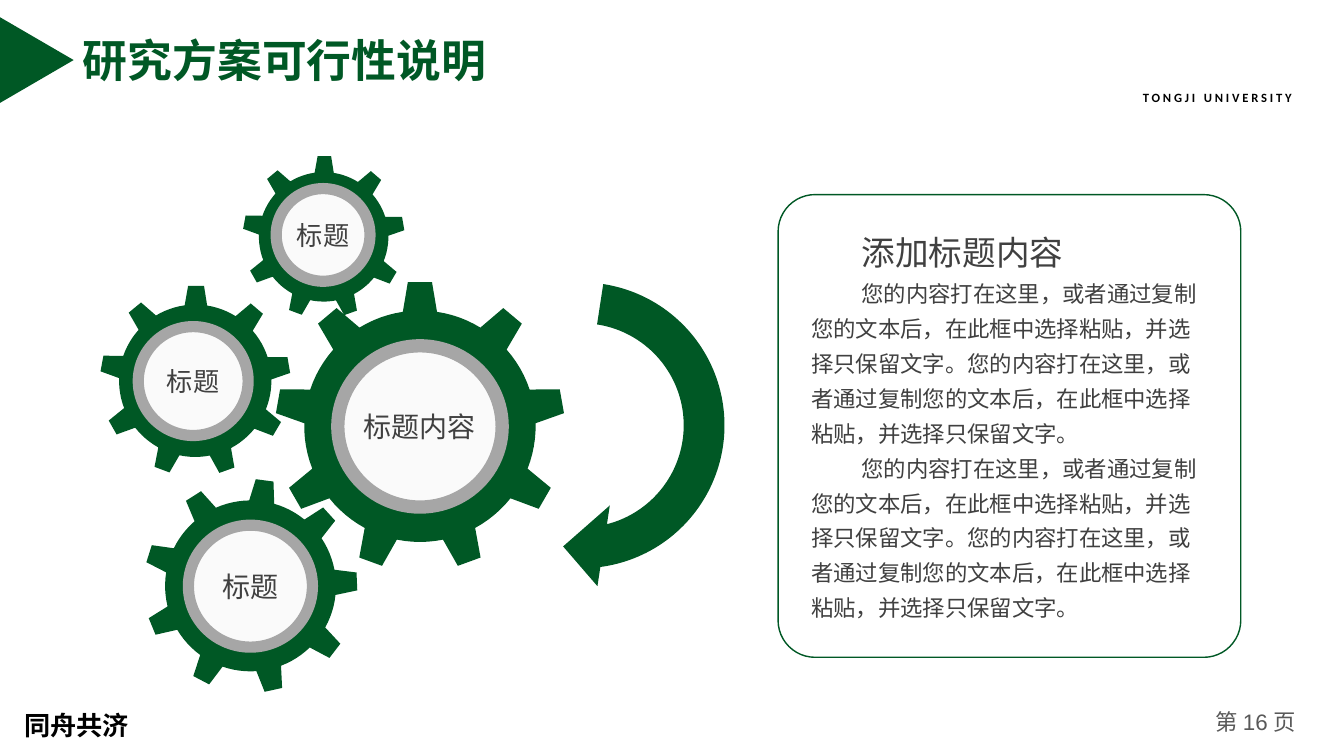
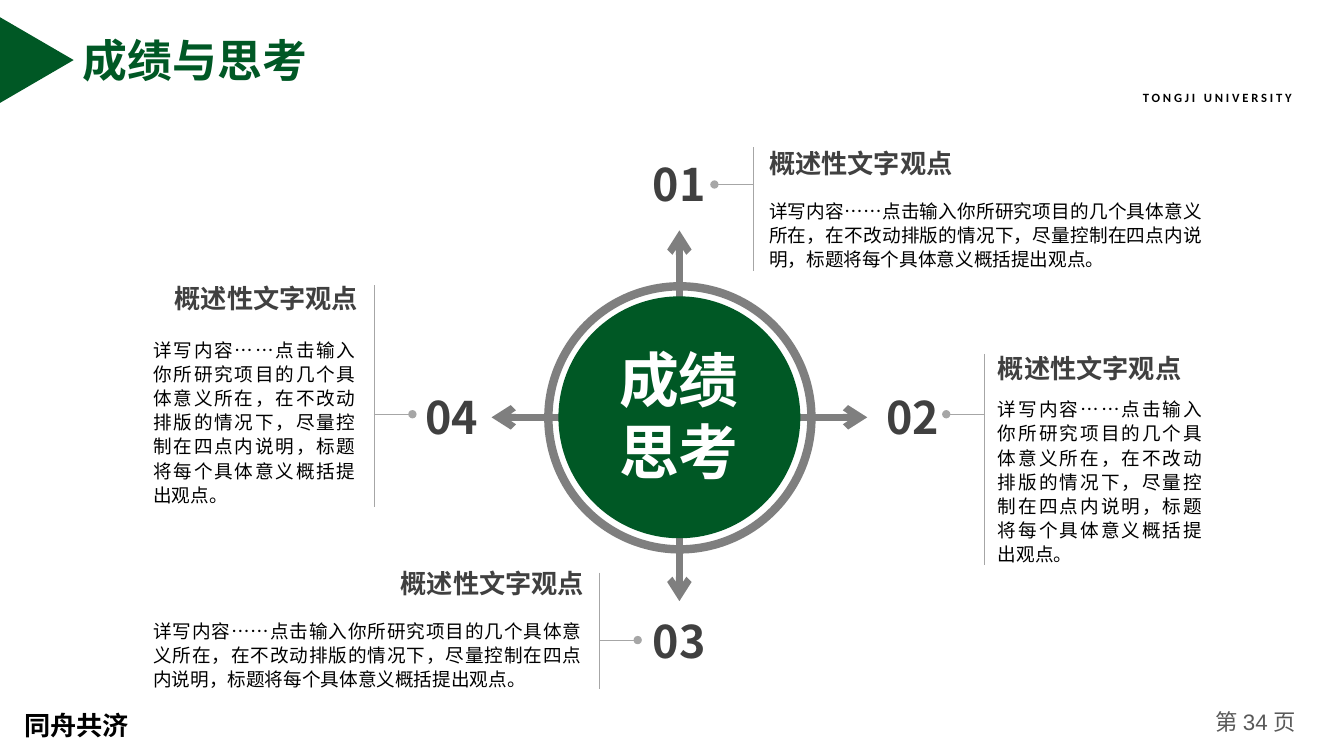
import math

import pptx
import pptx.dml.color
import pptx.enum.shapes
import pptx.enum.text
import pptx.oxml
import pptx.oxml.ns
import pptx.util

Pt = pptx.util.Pt
SHAPE = pptx.enum.shapes.MSO_SHAPE
ALIGN = pptx.enum.text.PP_ALIGN

# Shared style
GREEN, INK, HUB, RIM = "005825", "404040", "FAFAFA", "A6A6A6"
STEEL, PAGE_GREY, BLACK, WHITE = "7F7F7F", "595959", "000000", "FFFFFF"
CJK, LATIN, SMALL_CAPS = "Noto Sans CJK SC", "Arial", "Calibri"
INSETS = (7.2, 3.6)

# Content of the gear slide
BODY = "您的内容打在这里，或者通过复制您的文本后，在此框中选择粘贴，并选择只保留文字。" * 2
PANEL = [("添加标题内容", 24, 2.0), (BODY, 16, 1.3), (BODY, 16, 1.3)]  # text, size, spacing
TEETH, ROOT_RATIO = 9, 0.8
TIP_HALF, ROOT_HALF = 4.8, 8.5  # half a tooth, in degrees
GEARS = [  # gear centre, radius, turn, hub centre, hub size, rim, label, label size
    ((300, 304.5), 103.3, 0, (300, 304.6), (117.4, 115.2), 9.5, "标题内容", 20),
    ((179, 418.5), 76.3, 7.6, (178.9, 418.7), (88.6, 87.1), 8, "标题", 20),
    ((139.5, 272), 68, 0.5, (138, 272.2), (78.5, 77.8), 8, "标题", 18.7),
    ((231.2, 169.2), 57.8, 0.5, (230.8, 167.8), (67, 66.2), 8, "标题", 18.7),
]

# Content of the results slide
HEADING = "概述性文字观点"
DETAIL = ("详写内容……点击输入你所研究项目的几个具体意义所在，在不改动排版的情况下，"
          "尽量控制在四点内说明，标题将每个具体意义概括提出观点。")
LINE_PITCH, STEM = 17.3, 27.5
ARROW_LENGTH = 58.6
ARROWS = [  # start, direction
    ((485.3, 223.2), (0, -1)), ((485.3, 370.8), (0, 1)),
    ((560.9, 298.1), (1, 0)), ((409.7, 298.1), (-1, 0)),
]
POINTS = [  # number, its corner, bracket x / top / bottom, stem y, side of text,
            # text left, width, heading top, detail top, detail lines
    ("01", (460, 112.3), (537.8, 105.1, 193.7), 131.8, 1, 549.4, 309.6, 105.1, 141.1, 3),
    ("02", (627, 278.6), (703.4, 252.7, 403.9), 295.9, 1, 712.8, 146.2, 251.3, 283, 7),
    ("03", (460, 438.5), (428, 409, 492.5), 457.2, -1, 109.4, 306, 405.4, 441.4, 3),
    ("04", (297.4, 278.6), (267.1, 203.8, 362.2), 295.9, -1, 109.4, 144.7, 201.6, 240.5, 7),
]


def color(value):
    return pptx.dml.color.RGBColor.from_string(value)


def style(paragraph, size, ink, bold=False, latin=CJK, align=ALIGN.LEFT, spacing=None):
    paragraph.alignment = align
    if spacing:
        paragraph.line_spacing = spacing
    font = paragraph.font
    font.size, font.bold, font.name = Pt(size), bold, latin
    font.color.rgb = color(ink)
    for run in paragraph.runs:
        set_east_asian(run)


def set_east_asian(run):
    props = run._r.get_or_add_rPr()
    ea = pptx.oxml.parse_xml(
        f'<a:ea {pptx.oxml.ns.nsdecls("a")} typeface="{CJK}"/>')
    props.append(ea)


def add_box(slide, left, top, width, height, insets=(0, 0), wrap=True):
    frame = slide.shapes.add_textbox(Pt(left), Pt(top), Pt(width), Pt(height)).text_frame
    frame.word_wrap = wrap
    frame.margin_left = frame.margin_right = Pt(insets[0])
    frame.margin_top = frame.margin_bottom = Pt(insets[1])
    return frame


def add_label(slide, text, box, size, ink, insets=(0, 0), wrap=True, **looks):
    paragraph = add_box(slide, *box, insets, wrap).paragraphs[0]
    paragraph.add_run().text = text
    style(paragraph, size, ink, **looks)
    return paragraph


def paint(shape, fill=None, line=None, line_width=1):
    shape.shadow.inherit = False
    if fill:
        shape.fill.solid()
        shape.fill.fore_color.rgb = color(fill)
    else:
        shape.fill.background()
    if line:
        shape.line.color.rgb = color(line)
        shape.line.width = Pt(line_width)
    else:
        shape.line.fill.background()
    return shape


def add_figure(slide, kind, left, top, width, height, **looks):
    shape = slide.shapes.add_shape(kind, Pt(left), Pt(top), Pt(width), Pt(height))
    return paint(shape, **looks)


def add_line(slide, start, end, ink, line_width, tail=None):
    line = slide.shapes.add_connector(
        pptx.enum.shapes.MSO_CONNECTOR.STRAIGHT, *(Pt(v) for v in (*start, *end)))
    line.line.color.rgb = color(ink)
    line.line.width = Pt(line_width)
    namespace = pptx.oxml.ns.nsdecls("a")
    props = line._element.spPr
    if tail:
        props.find(pptx.oxml.ns.qn("a:ln")).append(
            pptx.oxml.parse_xml(f'<a:tailEnd {namespace} type="{tail}"/>'))
    props.append(pptx.oxml.parse_xml(f"<a:effectLst {namespace}/>"))


def add_page(deck, title, title_width, number):
    slide = deck.slides.add_slide(deck.slide_layouts[6])
    # Page number, university line and motto
    page = add_box(slide, 853.9, 502.6, 86.4, 28.8, INSETS).paragraphs[0]
    for text in ("第 ", f"{number} ", "页"):
        page.add_run().text = text
    style(page, 16, PAGE_GREY, align=ALIGN.CENTER)
    page.runs[1].font.name = LATIN
    university = add_label(slide, "TONGJI UNIVERSITY", (809.3, 60.5, 138.2, 17.3), 9, BLACK,
                           INSETS, bold=True, latin=SMALL_CAPS, align=ALIGN.JUSTIFY)
    university.runs[0]._r.get_or_add_rPr().set("spc", "200")
    add_label(slide, "同舟共济", (10.1, 491.8, 98.6, 38.2), 18.7, BLACK, INSETS,
              bold=True, spacing=1.5)
    # Title and its marker
    add_label(slide, title, (49.7, 18.7, title_width, 48.2), 32, GREEN, (9.4, 5),
              wrap=False, bold=True, latin=LATIN)
    marker = add_figure(slide, SHAPE.ISOSCELES_TRIANGLE, -4.3, 16.6, 61.2, 52.6, fill=GREEN)
    marker.rotation = 90
    return slide


def gear_outline(center, radius, turn):
    step = 360 / TEETH
    root = radius * ROOT_RATIO
    valley = step - 2 * ROOT_HALF
    corners = [(-ROOT_HALF, root), (-TIP_HALF, radius), (TIP_HALF, radius)]
    corners += [(ROOT_HALF + valley * part / 6, root) for part in range(6)]
    outline = []
    for tooth in range(TEETH):
        for offset, reach in corners:
            angle = math.radians(turn + tooth * step + offset)
            outline.append((Pt(center[0] + reach * math.sin(angle)),
                            Pt(center[1] - reach * math.cos(angle))))
    return outline


def add_gear(slide, center, radius, turn, hub_center, hub_size, rim, label, size):
    outline = gear_outline(center, radius, turn)
    builder = slide.shapes.build_freeform(*outline[0])
    builder.add_line_segments(outline[1:], close=True)
    paint(builder.convert_to_shape(), fill=GREEN)
    (x, y), (width, height) = hub_center, hub_size
    hub = add_figure(slide, SHAPE.OVAL, x - width / 2, y - height / 2, width, height,
                     fill=HUB, line=RIM, line_width=rim)
    frame = hub.text_frame
    frame.word_wrap = False
    frame.vertical_anchor = pptx.enum.text.MSO_ANCHOR.MIDDLE
    frame.margin_left = frame.margin_right = frame.margin_top = frame.margin_bottom = 0
    frame.paragraphs[0].add_run().text = label
    style(frame.paragraphs[0], size, INK, align=ALIGN.CENTER)


def build_feasibility(deck):
    slide = add_page(deck, "研究方案可行性说明", 310.3, 16)
    for gear in GEARS:
        add_gear(slide, *gear)
    turn_arrow = add_figure(slide, SHAPE.CIRCULAR_ARROW, 298.8, 187.2, 233.3, 233.3, fill=GREEN)
    turn_arrow.rotation = 98.7
    # Text panel
    panel = add_figure(slide, SHAPE.ROUNDED_RECTANGLE, 555.8, 139, 330.5, 330.5, line=GREEN)
    panel.adjustments[0] = 0.08
    frame = add_box(slide, 572.4, 133.2, 299.5, 340.6, INSETS)
    for index, (text, size, spacing) in enumerate(PANEL):
        paragraph = frame.add_paragraph() if index else frame.paragraphs[0]
        paragraph.add_run().text = text
        paragraph._p.get_or_add_pPr().set("indent", str(Pt(36)))
        style(paragraph, size, INK, spacing=spacing)


def add_point(slide, number, corner, bracket, stem_y, side, left, width,
              heading_top, detail_top, lines):
    add_label(slide, number, (*corner, 50.4, 38.9), 32, INK, bold=True, align=ALIGN.CENTER)
    x, top, bottom = bracket
    add_line(slide, (x, top), (x, bottom), RIM, 0.5)
    add_line(slide, (x, stem_y), (x - side * STEM, stem_y), RIM, 0.5, "oval")
    add_label(slide, HEADING, (left, heading_top, width + 1.8, 22.3), 18.7, INK, bold=True,
              align=ALIGN.LEFT if side > 0 else ALIGN.RIGHT)
    add_label(slide, DETAIL, (left, detail_top, width, lines * LINE_PITCH), 13.3, BLACK,
              align=ALIGN.JUSTIFY, spacing=Pt(LINE_PITCH))


def build_results(deck):
    slide = add_page(deck, "成绩与思考", 180.7, 34)
    # Ring with four arrows
    add_figure(slide, SHAPE.OVAL, 391.7, 204.5, 187.9, 187.9, line=STEEL, line_width=6)
    for (x, y), (dx, dy) in ARROWS:
        end = (x + dx * ARROW_LENGTH, y + dy * ARROW_LENGTH)
        add_line(slide, (x, y), end, STEEL, 5, "arrow")
    for point in POINTS:
        add_point(slide, *point)
    # Core
    add_figure(slide, SHAPE.OVAL, 398.9, 211.7, 172.8, 172.8, fill=GREEN)
    add_label(slide, "成绩思考", (421.9, 241.2, 126, 110.9), 42.7, WHITE, INSETS,
              bold=True, align=ALIGN.CENTER)


def main():
    deck = pptx.Presentation()
    deck.slide_width, deck.slide_height = Pt(960), Pt(540)
    build_feasibility(deck)
    build_results(deck)
    deck.save("out.pptx")


if __name__ == "__main__":
    main()
